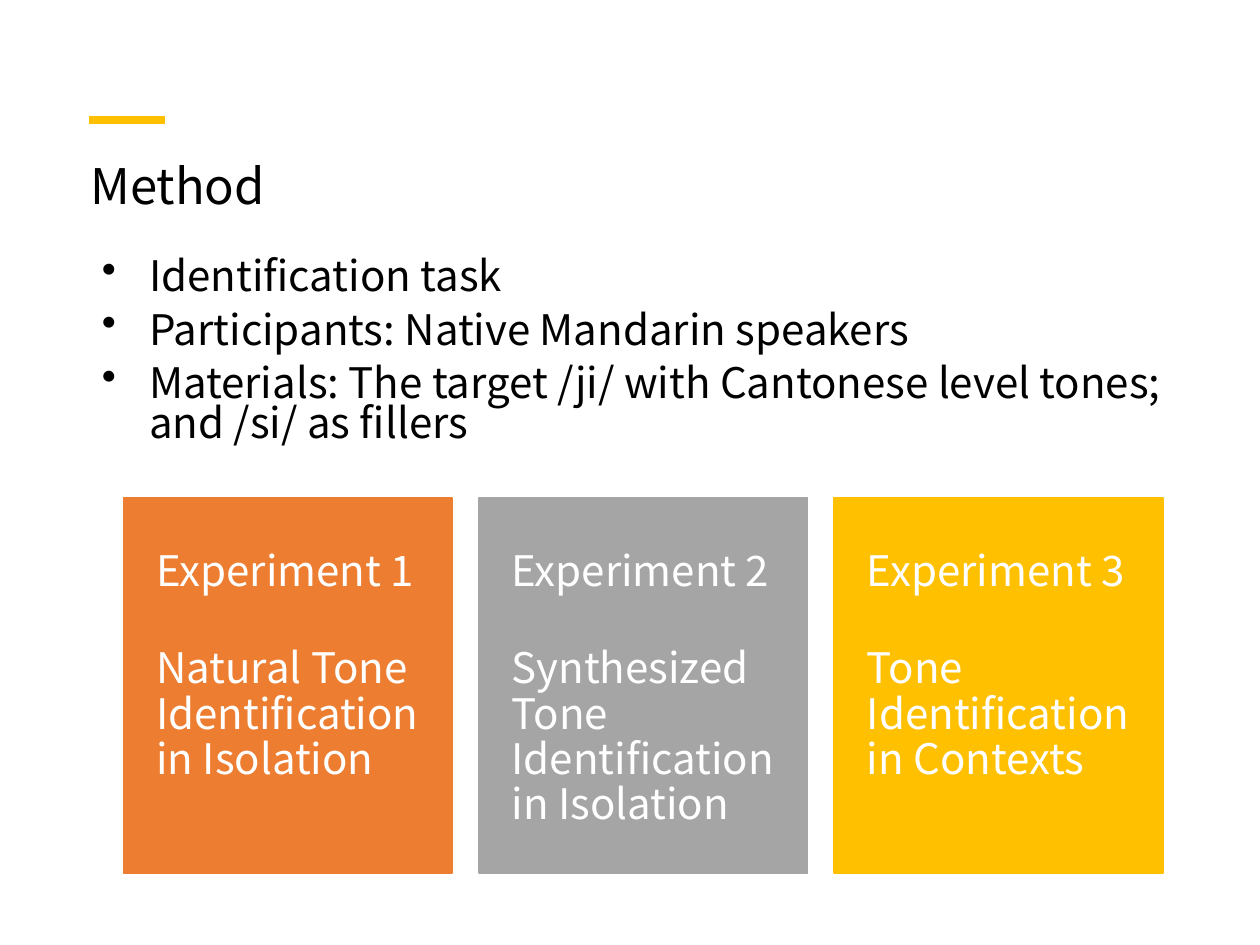
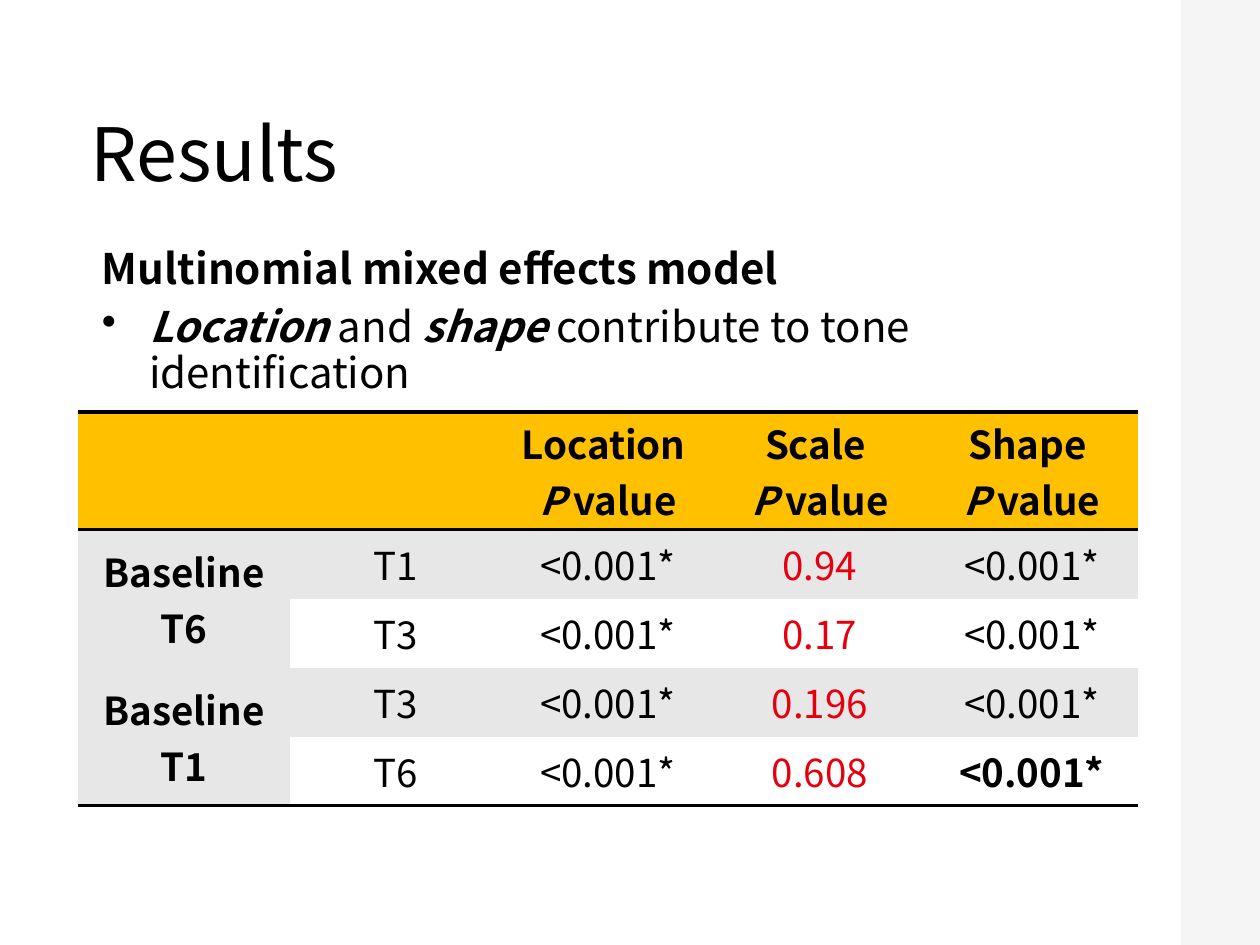
from dataclasses import dataclass, field
from typing import Any, NamedTuple

import lxml.etree
import pptx
import pptx.dml.color
import pptx.enum.shapes
import pptx.enum.text
import pptx.oxml
import pptx.oxml.ns
import pptx.util

FONT = "Noto Sans CJK SC"
COLORS = {
    "text": "000000", "white": "FFFFFF", "orange": "ED7D31", "grey": "A5A5A5",
    "gold": "FFC000", "strip": "E7E6E6", "band": "E7E7E7", "red": "E6000E",
}
COLUMNS, ROWS = 40, 30
NO_TABLE_STYLE = "{2D5ABB26-0587-4C30-8999-92F81FD0307C}"
ANCHOR = pptx.enum.text.MSO_ANCHOR
CENTER = pptx.enum.text.PP_ALIGN.CENTER

prs = pptx.Presentation()
prs.slide_width = pptx.util.Inches(10)
prs.slide_height = pptx.util.Inches(7.5)


class Box(NamedTuple):
    col: float
    row: float
    cols: float
    rows: float

    def emu(self) -> tuple[int, int, int, int]:
        return gx(self.col), gy(self.row), gx(self.cols), gy(self.rows)


class Run(NamedTuple):
    text: str
    bold: bool = False
    italic: bool = False


@dataclass
class Para:
    runs: list[Run]
    bullet: bool = False
    fmt: dict[str, Any] = field(default_factory=dict)


@dataclass
class TextStyle:
    size: float
    color: str = "text"
    frame: dict[str, Any] = field(default_factory=dict)


class Card(NamedTuple):
    heading: str
    detail: str
    color: str


def gx(cols: float) -> int:
    return round(prs.slide_width * cols / COLUMNS)


def gy(rows: float) -> int:
    return round(prs.slide_height * rows / ROWS)


def rgb(name: str) -> pptx.dml.color.RGBColor:
    return pptx.dml.color.RGBColor.from_string(COLORS[name])


def apply(obj: Any, fmt: dict[str, Any]) -> None:
    for name, value in fmt.items():
        setattr(obj, name, value)


def add_bullet(p: Any) -> None:
    pPr = p._p.get_or_add_pPr()
    pPr.set("marL", str(gx(1.5)))
    pPr.set("indent", str(-gx(1.5)))
    lxml.etree.SubElement(pPr, pptx.oxml.ns.qn("a:buChar")).set("char", "•")


def write(tf: Any, paras: list[Para], style: TextStyle) -> None:
    apply(tf, {"word_wrap": True, **style.frame})
    for i, para in enumerate(paras):
        p = tf.paragraphs[0] if i == 0 else tf.add_paragraph()
        apply(p, para.fmt)
        if para.bullet:
            add_bullet(p)
        for run in para.runs:
            r = p.add_run()
            r.text = run.text
            apply(r.font, {"name": FONT, "size": pptx.util.Pt(style.size),
                           "bold": run.bold, "italic": run.italic})
            r.font.color.rgb = rgb(style.color)


def add_text(shapes: Any, box: Box, paras: list[Para], style: TextStyle) -> None:
    write(shapes.add_textbox(*box.emu()).text_frame, paras, style)


def add_title(slide: Any, box: Box, text: str, style: TextStyle) -> None:
    add_text(slide.shapes, box, [Para([Run(text)], fmt={"line_spacing": 0.9})], style)


def add_rect(shapes: Any, box: Box, color: str, outlined: bool = False) -> Any:
    sp = shapes.add_shape(pptx.enum.shapes.MSO_SHAPE.RECTANGLE, *box.emu())
    sp.shadow.inherit = False
    sp.fill.solid()
    sp.fill.fore_color.rgb = rgb(color)
    if outlined:
        sp.line.color.rgb = rgb(color)
        sp.line.width = pptx.util.Pt(1)
    else:
        sp.line.fill.background()
    return sp


def add_rule(slide: Any, col: float, row: float, cols: float) -> None:
    line = slide.shapes.add_connector(
        pptx.enum.shapes.MSO_CONNECTOR.STRAIGHT, gx(col), gy(row), gx(col + cols), gy(row))
    line.line.color.rgb = rgb("gold")
    line.line.width = pptx.util.Pt(4.5)
    lxml.etree.SubElement(line._element.spPr, pptx.oxml.ns.qn("a:effectLst"))


def add_card(shapes: Any, box: Box, card: Card) -> None:
    heading_rows = 4.76
    side, pad = gx(1.04), gy(0.72)
    margins = {"margin_left": side, "margin_right": side}
    heading = TextStyle(24, "white", {**margins, "margin_top": pad, "margin_bottom": pad,
                                      "vertical_anchor": ANCHOR.MIDDLE})
    detail = TextStyle(24, "white", {**margins, "margin_top": 0, "margin_bottom": 2 * pad})
    lower = box._replace(row=box.row + heading_rows, rows=box.rows - heading_rows)
    add_rect(shapes, box, card.color, outlined=True)
    for part, text, style in ((lower, card.detail, detail),
                              (box._replace(rows=heading_rows), card.heading, heading)):
        add_text(shapes, part, [Para([Run(text)], fmt={"line_spacing": 0.9})], style)


def add_border(cell: Any, side: str) -> None:
    cell._tc.get_or_add_tcPr().insert(0, pptx.oxml.parse_xml(
        f'<a:{side} {pptx.oxml.ns.nsdecls("a")} w="25400"><a:solidFill>'
        f'<a:srgbClr val="{COLORS["text"]}"/></a:solidFill></a:{side}>'))


def fill_cell(cell: Any, lines: list[list[Run]], fill: str, color: str) -> None:
    inset = gx(0.08)
    cell.fill.solid()
    cell.fill.fore_color.rgb = rgb(fill)
    apply(cell, {"vertical_anchor": ANCHOR.MIDDLE, "margin_left": inset,
                 "margin_right": inset, "margin_top": inset, "margin_bottom": inset})
    write(cell.text_frame, [Para(runs, fmt={"alignment": CENTER}) for runs in lines],
          TextStyle(22, color))


def add_p_value_table(slide: Any, box: Box) -> None:
    p_value = [Run("P", True, True), Run(" value", True)]
    factors = ("Location ", "Scale ", "Shape ")
    header = [[], []] + [[[Run(name, True)], p_value] for name in factors]
    significant = "<0.001*"
    results = [
        ("Baseline T6", "T1", significant, "0.94", significant),
        ("", "T3", significant, "0.17", significant),
        ("Baseline T1", "T3", significant, "0.196", significant),
        ("", "T6", significant, "0.608", significant),
    ]
    last = len(results)
    body = [[[[Run(text, c == 0 or (r, c) == (last, 4))]] if text else []
             for c, text in enumerate(row)] for r, row in enumerate(results, 1)]

    body_rows = 2.19
    table = slide.shapes.add_table(last + 1, len(header), *box.emu()).table
    apply(table, {"first_row": False, "horz_banding": False})
    table._tbl.tblPr.find(pptx.oxml.ns.qn("a:tableStyleId")).text = NO_TABLE_STYLE
    for column in table.columns:
        column.width = gx(box.cols / len(header))
    for r, row in enumerate(table.rows):
        row.height = gy(body_rows if r else box.rows - last * body_rows)

    table.cell(0, 0).merge(table.cell(0, 1))
    for r in (1, 3):
        table.cell(r, 0).merge(table.cell(r + 1, 0))
    for r, row in enumerate([header] + body):
        for c, lines in enumerate(row):
            cell = table.cell(r, c)
            fill = "gold" if r == 0 else "band" if c == 0 or r % 2 else "white"
            fill_cell(cell, lines, fill, "red" if r and c == 3 else "text")
            if r in (0, last) or (r, c) == (3, 0):
                add_border(cell, "lnB")
            if r == 0:
                add_border(cell, "lnT")


def new_slide() -> Any:
    return prs.slides.add_slide(prs.slide_layouts[6])


def build_method() -> None:
    slide = new_slide()
    add_title(slide, Box(2.48, 4.96, 30.8, 6.12), "Method", TextStyle(28))
    add_rule(slide, 2.84, 3.8, 2.4)

    cards = [
        Card("Experiment 1", "Natural Tone Identification in Isolation", "orange"),
        Card("Experiment 2", "Synthesized Tone Identification in Isolation", "grey"),
        Card("Experiment 3", "Tone Identification in Contexts", "gold"),
    ]
    width, gap = 10.44, 0.84
    group = slide.shapes.add_group_shape()
    for i, card in enumerate(cards):
        add_card(group.shapes, Box(3.92 + i * (width + gap), 15.8, width, 11.92), card)

    points = [
        "Identification task",
        "Participants: Native Mandarin speakers",
        "Materials: The target /ji/ with Cantonese level tones; and /si/ as fillers",
    ]
    fmt = {"line_spacing": 0.8, "space_before": pptx.util.Pt(7.5)}
    add_text(slide.shapes, Box(2.84, 8.04, 35.56, 6.52),
             [Para([Run(point)], True, fmt) for point in points], TextStyle(24))


def build_results() -> None:
    slide = new_slide()
    strip = add_rect(slide.shapes, Box(36.48, 0, 3.52, ROWS), "strip")
    tint = strip._element.spPr.find(".//" + pptx.oxml.ns.qn("a:srgbClr"))
    lxml.etree.SubElement(tint, pptx.oxml.ns.qn("a:alpha")).set("val", "40000")
    add_rect(slide.shapes, Box(0, 0, 37.48, ROWS), "white")
    add_title(slide, Box(2.48, 1.88, 31.48, 6.28), "Results",
              TextStyle(42, frame={"vertical_anchor": ANCHOR.MIDDLE}))

    fmt = {"line_spacing": 0.9, "space_before": pptx.util.Pt(7.5)}
    finding = [Run("Location ", True, True), Run("and "), Run("shape ", True, True),
               Run("contribute to tone identification")]
    add_text(slide.shapes, Box(2.84, 7.68, 34.68, 22.32),
             [Para([Run("Multinomial mixed effects model", True)], fmt=fmt),
              Para(finding, True, fmt)], TextStyle(24))
    add_p_value_table(slide, Box(2.48, 13.08, 33.64, 12.5))


def main() -> None:
    build_method()
    build_results()
    prs.save("out.pptx")


if __name__ == "__main__":
    main()
